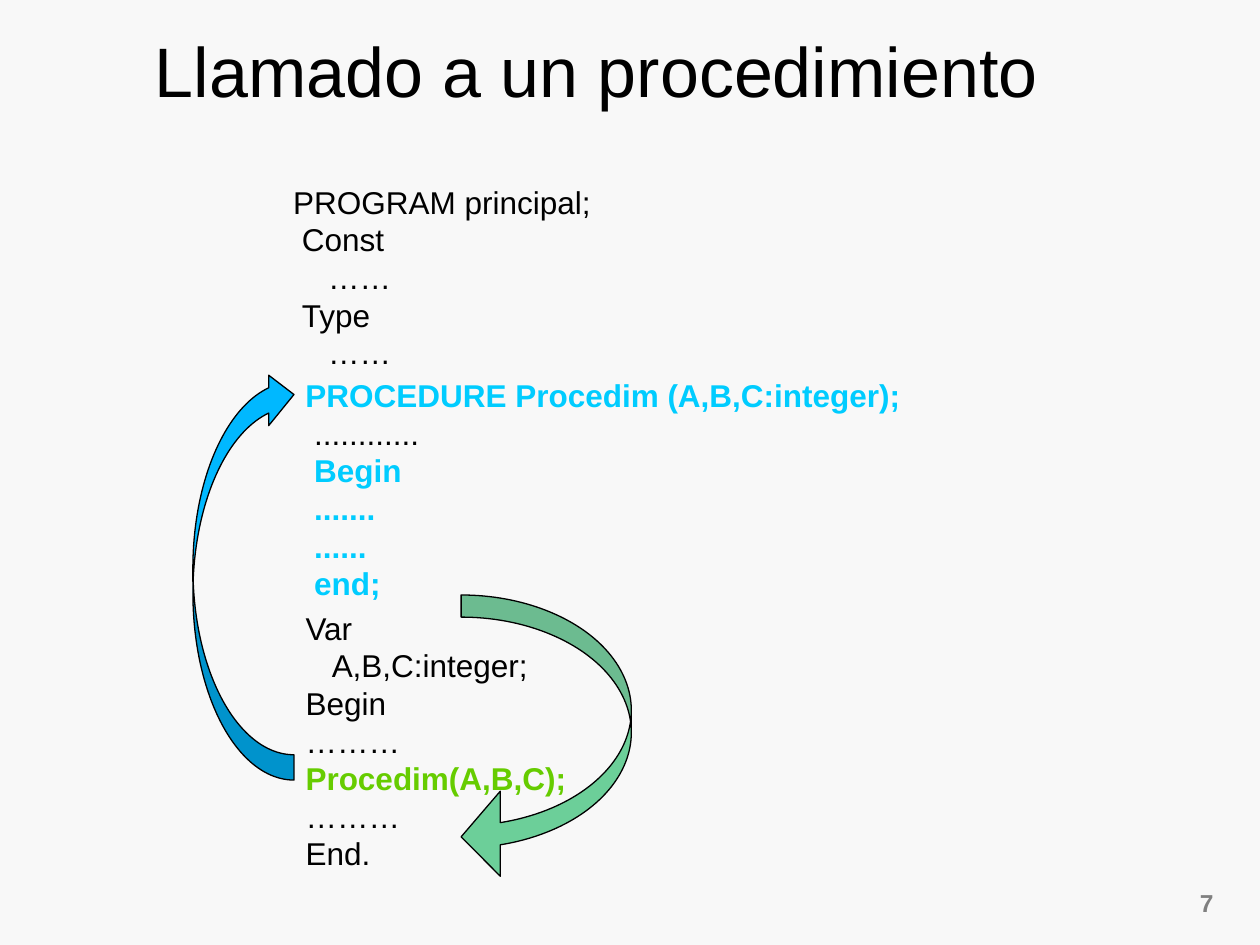
from dataclasses import dataclass
from pptx import Presentation
from pptx.dml.color import RGBColor
from pptx.enum import shapes, text
from pptx.oxml import parse_xml
from pptx.oxml.ns import nsdecls
from pptx.util import Pt


@dataclass(frozen=True)
class Theme:
    """Colours, type sizes and spacing, in points."""
    font: str = "Arial"
    background: str = "F8F8F8"
    ink: str = "000000"
    definition: str = "00CCFF"
    call: str = "66CC00"
    muted: str = "808080"
    call_arrow: str = "00B8FF"
    return_arrow: str = "00B050"
    title: float = 40
    code: float = 18
    number: float = 14
    pitch: float = 21.5
    indent: float = 5
    line: float = 0.75


T = Theme()
TITLE = "Llamado a un procedimiento"
PAGE = "7"

# Each code line: indent steps, wording, colour (coloured lines are bold)
CODE = [
    ((160.5, 101, 321, 107), [
        (0, "PROGRAM principal;", T.ink),
        (1, "Const", T.ink),
        (4, "……", T.ink),
        (1, "Type", T.ink),
        (4, "……", T.ink),
    ]),
    ((167.5, 211.5, 384.5, 137), [
        (0, "PROCEDURE Procedim (A,B,C:integer);", T.definition),
        (1, "............", T.ink),
        (1, "Begin", T.definition),
        (1, ".......", T.definition),
        (1, "......", T.definition),
        (1, "end;", T.definition),
    ]),
    ((167.5, 344.5, 182, 158), [
        (0, "Var", T.ink),
        (3, "A,B,C:integer;", T.ink),
        (0, "Begin", T.ink),
        (0, "………", T.ink),
        (0, "Procedim(A,B,C);", T.call),
        (0, "………", T.ink),
        (0, "End.", T.ink),
    ]),
]

# Preset, box, adjustments, fill, opacity in percent, flipped vertically
ARROWS = [
    (shapes.MSO_SHAPE.CURVED_RIGHT_ARROW, (110.25, 211, 57.75, 234.75),
     (0.25, 0.5, 0.25), T.call_arrow, 100, True),
    (shapes.MSO_SHAPE.CURVED_LEFT_ARROW, (263.5, 340, 97.25, 162.5),
     (0.13, 0.5, 0.23), T.return_arrow, 56, False),
]


def rgb(value):
    """Turn a hex string into a colour."""
    return RGBColor.from_string(value)


def style(p, size, colour, bold=False):
    """Format every run of a paragraph."""
    for r in p.runs:
        r.font.name, r.font.size, r.font.bold = T.font, Pt(size), bold
        r.font.color.rgb = rgb(colour)


def text_box(s, box, wording):
    """Add a wrapping text box and return its text frame."""
    tf = s.shapes.add_textbox(*map(Pt, box)).text_frame
    tf.word_wrap = True
    tf.text = wording
    return tf


def code_block(s, box, lines):
    """Add one block of code, a paragraph to each line."""
    tf = text_box(s, box, "\n".join(wording for _, wording, _ in lines))
    for p, (steps, _, colour) in zip(tf.paragraphs, lines):
        p.line_spacing = Pt(T.pitch)
        p._p.get_or_add_pPr().set("marL", str(Pt(steps * T.indent)))
        style(p, T.code, colour, colour != T.ink)


def curved_arrow(s, preset, box, adjustments, colour, opacity, flipped):
    """Add a curved block arrow."""
    sp = s.shapes.add_shape(preset, *map(Pt, box))
    sp.shadow.inherit = False
    for i, value in enumerate(adjustments):
        sp.adjustments[i] = value
    sp.fill.solid()
    sp.fill.fore_color.rgb = rgb(colour)
    sp.line.color.rgb = rgb(T.ink)
    sp.line.width = Pt(T.line)
    if opacity < 100:
        clr = sp._element.spPr.find(".//{*}solidFill/{*}srgbClr")
        clr.append(parse_xml(f'<a:alpha {nsdecls("a")} val="{opacity * 1000}"/>'))
    if flipped:
        sp._element.spPr.xfrm.set("flipV", "1")


prs = Presentation()
prs.slide_width, prs.slide_height = Pt(720), Pt(540)
s = prs.slides.add_slide(prs.slide_layouts[6])
s.background.fill.solid()
s.background.fill.fore_color.rgb = rgb(T.background)

tf = text_box(s, (653.75, 504, 46.75, 23.75), PAGE)
tf.paragraphs[0].alignment = text.PP_ALIGN.RIGHT
style(tf.paragraphs[0], T.number, T.muted, True)

tf = text_box(s, (31, 15, 619, 51), TITLE)
tf.vertical_anchor = text.MSO_ANCHOR.MIDDLE
tf.margin_top = Pt(1.5)
tf.paragraphs[0].alignment = text.PP_ALIGN.CENTER
style(tf.paragraphs[0], T.title, T.ink)

for box, lines in CODE:
    code_block(s, box, lines)
for arrow in ARROWS:
    curved_arrow(s, *arrow)

prs.save("out.pptx")
